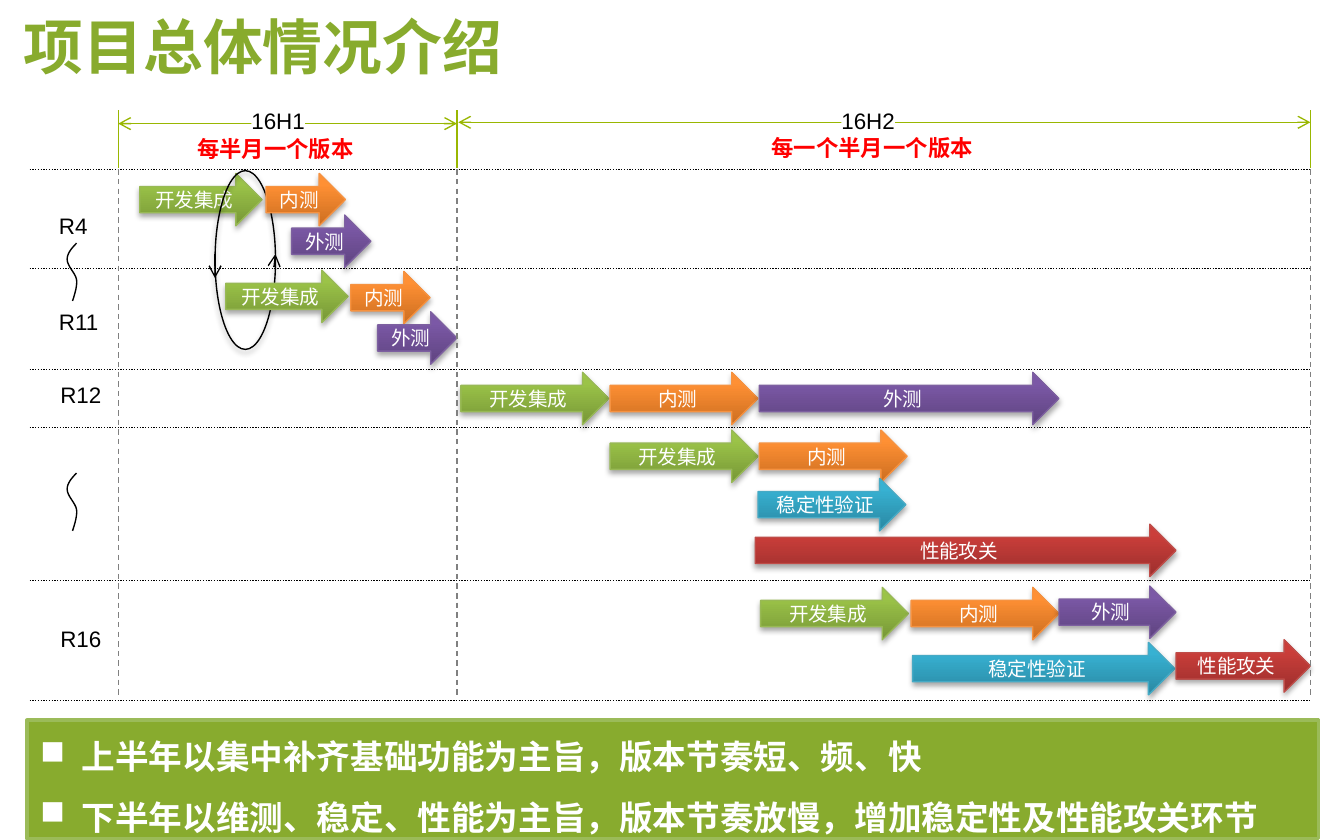
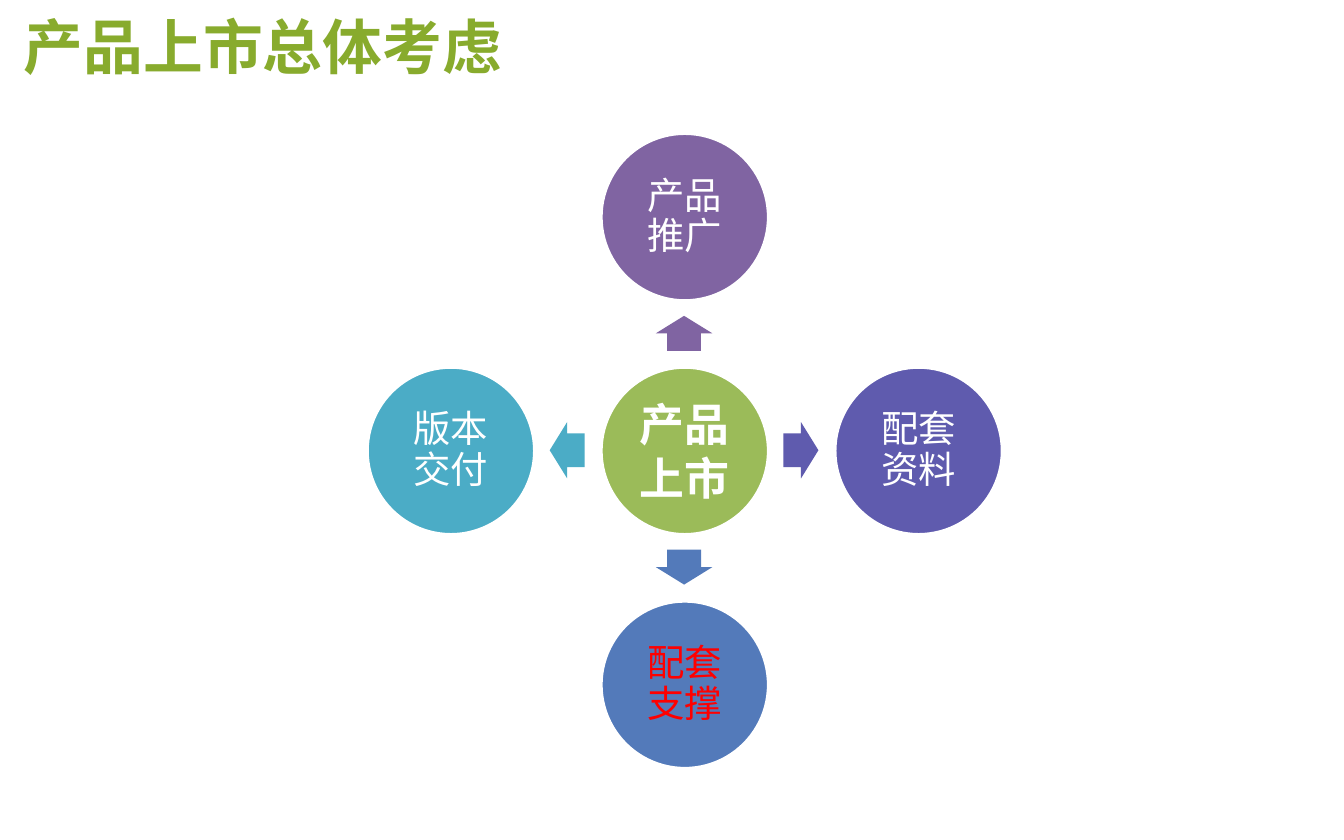
from copy import deepcopy

from lxml.etree import SubElement
from pptx import Presentation
from pptx.dml.color import RGBColor
from pptx.enum.dml import MSO_LINE
from pptx.enum.shapes import MSO_CONNECTOR, MSO_SHAPE
from pptx.enum.text import MSO_ANCHOR, MSO_AUTO_SIZE, PP_ALIGN
from pptx.oxml.ns import qn
from pptx.util import Inches, Pt

COLORS = {
    "title": "88AB2D", "banner": "88AB2E", "green": "9BBB59", "ruler": "99B701",
    "black": "000000", "white": "FFFFFF", "red": "FF0000", "gray": "808080",
    "violet": "8064A2", "indigo": "5F5BAE", "blue": "537ABA", "teal": "4BACC6",
}
CJK, LATIN, BODY = "Noto Sans CJK SC", "Arial", "Calibri"

# Each kind of work: label, gradient from bottom to top, outline
PHASES = {
    "develop": ("开发集成", ("779737", "9BC348", "9DC746"), "98B955"),
    "internal": ("内测", ("CC6E20", "FF9034", "FF9136"), "F69240"),
    "external": ("外测", ("5F4480", "7B58A6", "7C57A8"), "7D60A0"),
    "stability": ("稳定性验证", ("2A88A2", "37B1D2", "34B4D6"), "46AAC5"),
    "performance": ("性能攻关", ("9C2F2D", "CB3E3A", "CE3B37"), "BF4C48"),
}
# Phase, left, top, width
SCHEDULE = [
    ("internal", 1.98, 1.29, 0.59), ("external", 2.17, 1.6, 0.59),
    ("develop", 1.68, 2.01, 0.91), ("internal", 2.61, 2.02, 0.59),
    ("external", 2.81, 2.32, 0.59),
    ("develop", 3.43, 2.77, 1.1), ("internal", 4.54, 2.77, 1.1),
    ("external", 5.65, 2.77, 2.23),
    ("develop", 4.54, 3.2, 1.1), ("internal", 5.65, 3.2, 1.1),
    ("stability", 5.64, 3.56, 1.1), ("performance", 5.62, 3.9, 3.13),
    ("develop", 5.66, 4.37, 1.1), ("internal", 6.78, 4.37, 1.1),
    ("external", 7.88, 4.36, 0.87),
    ("stability", 6.79, 4.78, 1.95), ("performance", 8.75, 4.76, 1),
]


def rgb(color):
    return RGBColor.from_string(COLORS.get(color, color))


def write(shape, text, font=CJK, size=12, color="black", bold=False, align=PP_ALIGN.LEFT,
          anchor=MSO_ANCHOR.TOP, inset=None, spacing=None, bullet=None, wrap=True, grow=False):
    """Fill a shape with text, one paragraph per line."""
    frame = shape.text_frame
    frame.word_wrap = wrap
    frame.vertical_anchor = anchor
    if grow:
        frame.auto_size = MSO_AUTO_SIZE.SHAPE_TO_FIT_TEXT
    if inset is not None:
        frame.margin_left = frame.margin_right = Inches(inset)
        frame.margin_top = frame.margin_bottom = Inches(inset)
    for index, line in enumerate(text.split("\n")):
        paragraph = frame.add_paragraph() if index else frame.paragraphs[0]
        paragraph.alignment = align
        if spacing:
            paragraph.line_spacing = spacing
        if bullet:
            properties = paragraph._p.get_or_add_pPr()
            properties.set("marL", str(Inches(0.31)))
            properties.set("indent", str(-Inches(0.31)))
            SubElement(properties, qn("a:buChar"), char=bullet)
        run = paragraph.add_run()
        run.text = line
        run.font.size = Pt(size)
        run.font.bold = bold
        run.font.color.rgb = rgb(color)
        run.font.name = font
        SubElement(run._r.get_or_add_rPr(), qn("a:ea"), typeface=font)


class Deck:
    def __init__(self):
        self.presentation = Presentation()
        self.presentation.slide_width = Inches(10)
        self.presentation.slide_height = Inches(6.25)
        self.slide = None

    def add_slide(self, title):
        self.slide = self.presentation.slides.add_slide(self.presentation.slide_layouts[6])
        self.text(title, 0.08, 0.08, 6.33, 0.52, size=32, color="title", bold=True,
                  anchor=MSO_ANCHOR.MIDDLE)

    def text(self, text, left, top, width, height, **style):
        box = self.slide.shapes.add_textbox(*map(Inches, (left, top, width, height)))
        write(box, text, **style)

    def shape(self, kind, left, top, width, height, fill=None, line=None, weight=0.75):
        shape = self.slide.shapes.add_shape(kind, *map(Inches, (left, top, width, height)))
        shape.shadow.inherit = False
        self.paint(shape, fill, line, weight)
        return shape

    def paint(self, shape, fill, line, weight=0.75):
        if fill:
            shape.fill.solid()
            shape.fill.fore_color.rgb = rgb(fill)
        else:
            shape.fill.background()
        if line:
            shape.line.color.rgb = rgb(line)
            shape.line.width = Pt(weight)
        else:
            shape.line.fill.background()

    def shadow(self, shape, distance, opacity):
        effects = shape._element.spPr.find(qn("a:effectLst"))
        outer = SubElement(effects, qn("a:outerShdw"), blurRad=str(Pt(3.1)),
                           dist=str(Pt(distance)), dir="5400000", rotWithShape="0")
        color = SubElement(outer, qn("a:srgbClr"), val=COLORS["black"])
        SubElement(color, qn("a:alpha"), val=str(opacity * 1000))

    def line(self, start, end, color="black", dash=None, head=False, tail=False):
        connector = self.slide.shapes.add_connector(
            MSO_CONNECTOR.STRAIGHT, *map(Inches, (*start, *end)))
        connector.line.color.rgb = rgb(color)
        connector.line.width = Pt(0.75)
        if dash:
            connector.line.dash_style = dash
        for tag, wanted in (("a:headEnd", head), ("a:tailEnd", tail)):
            if wanted:
                SubElement(connector.line._get_or_add_ln(), qn(tag), type="arrow")
        SubElement(connector._element.spPr, qn("a:effectLst"))
        return connector

    def phase(self, name, left, top, width):
        label, gradient, outline = PHASES[name]
        arrow = self.shape(MSO_SHAPE.RIGHT_ARROW, left, top, width, 0.39, line=outline)
        arrow.fill.gradient()
        arrow.fill.gradient_angle = 90
        stops = arrow._element.spPr.find(qn("a:gradFill")).find(qn("a:gsLst"))
        stops.append(deepcopy(stops[-1]))
        for stop, position, color in zip(arrow.fill.gradient_stops, (0, 0.8, 1), gradient):
            stop.position = position
            stop.color.rgb = rgb(color)
        self.shadow(arrow, 1.8, 35)
        write(arrow, label, font=BODY, size=10.5, color="white", align=PP_ALIGN.CENTER,
              anchor=MSO_ANCHOR.MIDDLE, wrap=False)

    def squiggle(self, left, top):
        """Draw the wavy mark that stands for the releases in between."""
        curves = [
            ((0.07, 0), (0.03, 0.04), (0, 0.08), (0, 0.12)),
            ((0, 0.12), (0, 0.17), (0.06, 0.22), (0.07, 0.27)),
            ((0.07, 0.27), (0.08, 0.32), (0.04, 0.43), (0.04, 0.43)),
        ]
        steps = 8
        points = []
        for a, b, c, d in curves:
            for t in (step / steps for step in range(1, steps + 1)):
                x, y = ((1 - t) ** 3 * a[i] + 3 * t * (1 - t) ** 2 * b[i]
                        + 3 * t ** 2 * (1 - t) * c[i] + t ** 3 * d[i] for i in (0, 1))
                points.append((Inches(left + x), Inches(top + y)))
        builder = self.slide.shapes.build_freeform(Inches(left + 0.07), Inches(top))
        builder.add_line_segments(points, close=False)
        wave = builder.convert_to_shape()
        wave.shadow.inherit = False
        self.paint(wave, None, "black")

    def period(self, name, rhythm, left, right, top):
        """Draw a dimension line with its half-year and release rhythm."""
        middle = (left + right) / 2
        self.line((left, top), (right, top), "ruler", head=True, tail=True)
        label = self.shape(MSO_SHAPE.RECTANGLE, middle - 0.27 if left < 1 else middle - 0.32,
                           0.8, 0.4, 0.2, fill="white")
        write(label, name, font=LATIN, align=PP_ALIGN.CENTER, inset=0, wrap=False, grow=True)
        self.text(rhythm, middle - 1.03, top + 0.04, 1.88, 0.3, color="red", bold=True,
                  align=PP_ALIGN.CENTER, grow=True)


def build_schedule(deck):
    deck.add_slide("项目总体情况介绍")

    # Summary banner
    deck.shape(MSO_SHAPE.RECTANGLE, 0.2, 5.36, 9.61, 0.88, "banner", "green", 2)
    deck.text("上半年以集中补齐基础功能为主旨，版本节奏短、频、快\n"
              "下半年以维测、稳定、性能为主旨，版本节奏放慢，增加稳定性及性能攻关环节",
              0.2, 5.28, 9.61, 0.96, size=18, color="white", bold=True,
              spacing=1.5, bullet="■", grow=True)

    # Row separators
    for y in (1.26, 2, 2.75, 3.18, 4.32, 5.21):
        deck.line((0.22, y), (9.75, y), dash=MSO_LINE.ROUND_DOT)

    # First development phase, with the iteration loop over it
    deck.phase("develop", 1.04, 1.29, 0.91)
    loop = deck.shape(MSO_SHAPE.OVAL, 1.6, 1.27, 0.45, 1.33, line="black")
    deck.shadow(loop, 1.6, 38)
    down = deck.line((1.6, 1.89), (1.6, 2.07), tail=True)
    up = deck.line((2.04, 1.98), (2.05, 1.89), tail=True)
    deck.slide.shapes.add_group_shape([loop, down, up])

    # Remaining phases
    for phase in SCHEDULE:
        deck.phase(*phase)

    # Release labels
    for release, left, top, width in (("R4", 0.34, 1.53, 0.62), ("R11", 0.34, 2.24, 1.02),
                                      ("R12", 0.35, 2.79, 1.02), ("R16", 0.35, 4.6, 1.02)):
        deck.text(release, left, top, width, 0.3, font=LATIN, grow=True)
    for top in (1.81, 3.52):
        deck.squiggle(0.5, top)

    # Period borders and dimension lines
    for x in (0.88, 3.4, 9.75):
        deck.line((x, 0.82), (x, 1.25), "ruler")
        deck.line((x, 1.26), (x, 5.2), "gray", MSO_LINE.DASH)
    deck.period("16H1", "每半月一个版本", 0.88, 3.4, 0.92)
    deck.period("16H2", "每一个半月一个版本", 3.41, 9.75, 0.91)


def build_launch(deck):
    deck.add_slide("产品上市总体考虑")

    def circle(text, column, row, fill, **style):
        step = 1.74
        disc = deck.shape(MSO_SHAPE.OVAL, 4.47 + column * step, 2.73 + row * step,
                          1.25, 1.25, fill, "white", 2)
        write(disc, text, align=PP_ALIGN.CENTER, anchor=MSO_ANCHOR.MIDDLE, inset=0.03, **style)

    # Hub
    circle("产品上市", 0, 0, "green", size=24, color="white", bold=True)

    # Spokes: text, direction, rotation, fill, text colour
    for text, column, row, rotation, fill, color in (
            ("产品推广", 0, -1, 270, "violet", "white"),
            ("配套资料", 1, 0, 0, "indigo", "white"),
            ("配套支撑", 0, 1, 90, "blue", "red"),
            ("版本交付", -1, 0, 180, "teal", "white")):
        arrow = deck.shape(MSO_SHAPE.RIGHT_ARROW, 4.96 + column * 0.87, 3.14 + row * 0.87,
                           0.26, 0.42, fill)
        arrow.adjustments[0] = 0.6
        arrow.rotation = rotation
        circle(text, column, row, fill, size=20, color=color, spacing=0.9)


def main():
    deck = Deck()
    build_schedule(deck)
    build_launch(deck)
    deck.presentation.save("out.pptx")


if __name__ == "__main__":
    main()
